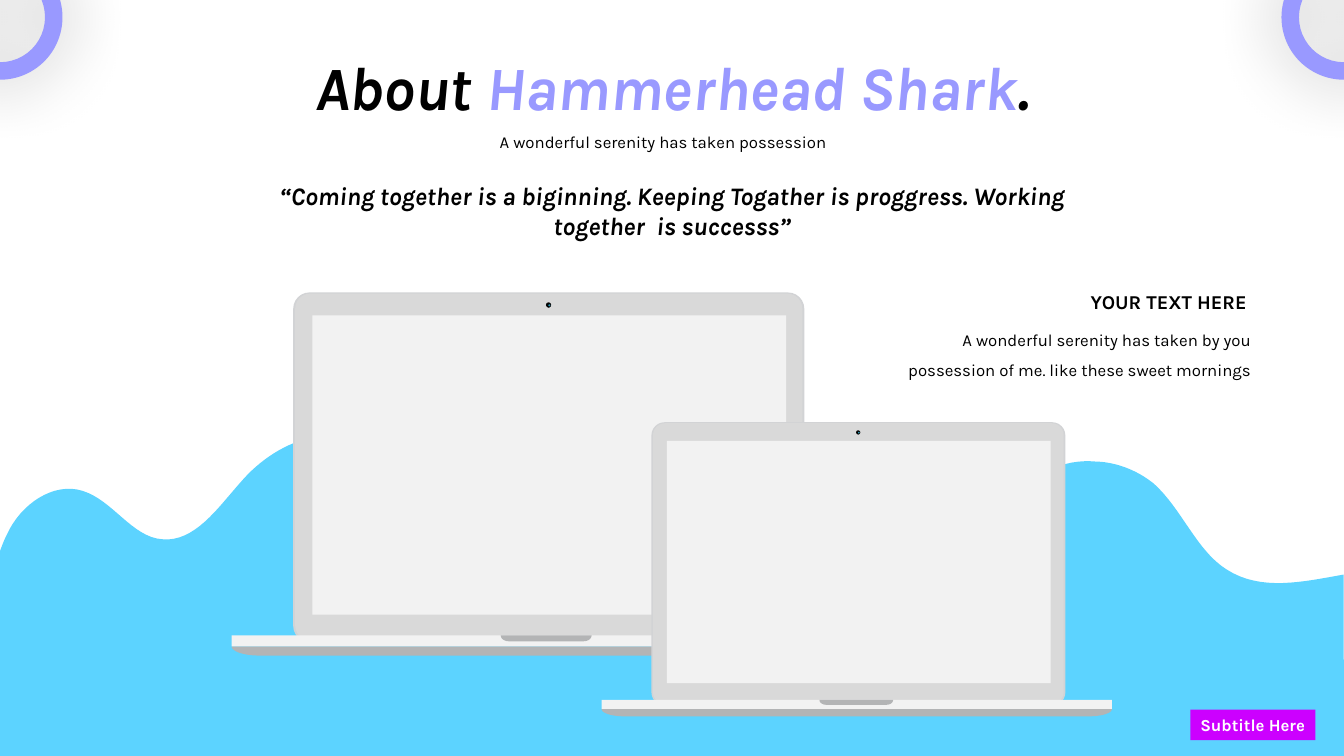
"""Builds the Hammerhead Shark slide: two laptops over a wave, with text."""
from math import cos, pi, sin

from lxml import etree
from pptx import Presentation
from pptx.dml.color import RGBColor
from pptx.enum.shapes import MSO_SHAPE
from pptx.enum.text import MSO_ANCHOR, PP_ALIGN
from pptx.oxml.ns import qn
from pptx.util import Cm, Pt

RECTANGLE, ROUNDED = MSO_SHAPE.RECTANGLE, MSO_SHAPE.ROUNDED_RECTANGLE
OVAL, DONUT = MSO_SHAPE.OVAL, MSO_SHAPE.DONUT
LEFT, CENTER, RIGHT = PP_ALIGN.LEFT, PP_ALIGN.CENTER, PP_ALIGN.RIGHT
TOP = MSO_ANCHOR.TOP

BLACK = RGBColor(0x00, 0x00, 0x00)
WHITE = RGBColor(0xFF, 0xFF, 0xFF)
LILAC = RGBColor(0x99, 0x99, 0xFF)
MAGENTA = RGBColor(0xCC, 0x00, 0xFF)
SKY = RGBColor(0x5C, 0xD3, 0xFF)
PALE = RGBColor(0xF2, 0xF2, 0xF2)
SILVER = RGBColor(0xD9, 0xD9, 0xD9)
EDGE = RGBColor(0xD2, 0xD3, 0xD5)
SHADE = RGBColor(0xB3, 0xB4, 0xB5)
CAMERA = RGBColor(0x0A, 0x0A, 0x0A)
LENS = RGBColor(0x2C, 0x99, 0xB4)

FONT = "Karla"
WIDTH, HEIGHT = 33.87, 19.05

WAVE_START = (0, 13.89)
WAVE_CURVES = [
    ((0.08, 13.67), (0.13, 13.56), (0.18, 13.46)),
    ((0.53, 12.7), (1.35, 12.14), (2.08, 12.37)),
    ((2.84, 12.6), (3.33, 13.54), (4.09, 13.59)),
    ((4.9, 13.67), (5.49, 12.8), (6.05, 12.17)),
    ((6.55, 11.58), (7.21, 11.15), (7.95, 11)),
    ((8.13, 10.97), (8.33, 10.95), (8.51, 10.97)),
    ((9.04, 10.97), (9.6, 11.18), (10.03, 11.53)),
    ((10.74, 12.17), (11.1, 13.21), (11.86, 13.69)),
    ((12.73, 14.25), (13.79, 14), (14.81, 13.82)),
]
WAVE_SHIFTS = [(0, 0), (19.05, 0.66)]

LAPTOPS = [(5.84, 7.37, 1), (15.16, 10.64, 0.81)]
TRAY = "tray"
LAPTOP_PARTS = [
    (TRAY, 0, 8.92, 15.88, 0.23, 0.69, SHADE),
    (ROUNDED, 1.55, 0, 12.88, 8.81, 0.41, EDGE),
    (ROUNDED, 1.6, 0.03, 12.78, 8.74, 0.38, SILVER),
    (RECTANGLE, 0, 8.64, 15.88, 0.28, 0, PALE),
    (TRAY, 6.78, 8.64, 2.29, 0.15, 0.2, SHADE),
    (RECTANGLE, 2.03, 0.58, 11.94, 7.54, 0, PALE),
    (OVAL, 7.92, 0.25, 0.13, 0.13, 0, CAMERA),
    (OVAL, 7.95, 0.28, 0.08, 0.1, 0, BLACK),
    (OVAL, 7.98, 0.3, 0.05, 0.05, 0, LENS),
]

RING_SIZE, RING_TOP, RING_THICKNESS = 3.15, -1.14, 0.14
RING_CENTERS = [0, WIDTH]

TEXTS = [
    ((6.02, 1.12, 21.84, 2.13), CENTER, 44, True, True, 1,
     [("About ", BLACK), ("Hammerhead Shark", LILAC), (".", BLACK)]),
    ((11.1, 2.95, 11.23, 0.94), CENTER, 12, False, False, 1.5,
     [("A wonderful serenity has taken possession", BLACK)]),
    ((24.38, 7.19, 7.29, 0.86), RIGHT, 14, True, False, 1,
     [("YOUR TEXT HERE", BLACK)]),
    ((22.53, 7.92, 9.25, 1.7), RIGHT, 12, False, False, 1.5,
     [("A wonderful serenity has taken by you possession of me. "
       "like these sweet mornings", BLACK)]),
    ((6.02, 4.42, 21.84, 1.8), CENTER, 18, True, True, 1,
     [("“Coming together is a biginning. Keeping Togather is proggress. "
       "Working together  is successs”", BLACK)]),
]
BUTTON_BOX = (30, 17.88, 3.15, 0.77)
BUTTON_RUNS = [("Subtitle Here", WHITE)]


def paint(shape, color):
    shape.shadow.inherit = False
    shape.fill.solid()
    shape.fill.fore_color.rgb = color
    shape.line.fill.background()


def add_preset(shapes, kind, box, color):
    shape = shapes.add_shape(kind, *[Cm(length) for length in box])
    paint(shape, color)
    return shape


def add_outline(shapes, points, color):
    corners = [(Cm(x), Cm(y)) for x, y in points]
    builder = shapes.build_freeform(*corners[0], scale=1.0)
    builder.add_line_segments(corners[1:], close=True)
    paint(builder.convert_to_shape(), color)


def curve_points(start, first, second, end, steps=16):
    weights = [((1 - t) ** 3, 3 * t * (1 - t) ** 2, 3 * t * t * (1 - t), t ** 3)
               for t in (step / steps for step in range(1, steps + 1))]
    return [tuple(sum(w * point[axis] for w, point in
                      zip(row, (start, first, second, end))) for axis in (0, 1))
            for row in weights]


def wave_points():
    crest = [WAVE_START]
    for curve in WAVE_CURVES:
        crest += curve_points(crest[-1], *curve)
    surface = [(x + dx, y + dy) for dx, dy in WAVE_SHIFTS for x, y in crest]
    return surface + [(WIDTH, HEIGHT), (0, HEIGHT)]


def tray_points(left, top, width, height, corner, steps=12):
    angles = [pi / 2 * step / steps for step in range(steps + 1)]
    arc = [(corner * (1 - cos(a)), height * sin(a)) for a in angles]
    return ([(left + x, top + y) for x, y in arc]
            + [(left + width - x, top + y) for x, y in reversed(arc)])


def add_laptop(slide, left, top, scale):
    shapes = slide.shapes.add_group_shape().shapes
    for kind, x, y, *sizes, color in LAPTOP_PARTS:
        width, height, corner = [size * scale for size in sizes]
        box = (left + x * scale, top + y * scale, width, height)
        if kind == TRAY:
            add_outline(shapes, tray_points(*box, corner), color)
            continue
        shape = add_preset(shapes, kind, box, color)
        if kind == ROUNDED:
            shape.adjustments[0] = corner / min(width, height)


def add_ring(slide, center):
    box = (center - RING_SIZE / 2, RING_TOP, RING_SIZE, RING_SIZE)
    ring = add_preset(slide.shapes, DONUT, box, LILAC)
    ring.adjustments[0] = RING_THICKNESS
    effects = ring._element.spPr.find(qn("a:effectLst"))
    shadow = etree.SubElement(effects, qn("a:outerShdw"), blurRad=str(Pt(49)),
                              dist="0", dir="0", algn="ctr", rotWithShape="0")
    color = etree.SubElement(shadow, qn("a:srgbClr"), val=str(BLACK))
    etree.SubElement(color, qn("a:alpha"), val="33000")


def write(shape, align, size, bold, italic, spacing, runs, wrap=True):
    frame = shape.text_frame
    frame.word_wrap = wrap
    frame.vertical_anchor = TOP
    paragraph = frame.paragraphs[0]
    paragraph.alignment = align
    paragraph.line_spacing = spacing
    font = paragraph.font
    font.name, font.size, font.bold, font.italic = FONT, Pt(size), bold, italic
    for text, color in runs:
        run = paragraph.add_run()
        run.text = text
        run.font.color.rgb = color


def main():
    presentation = Presentation()
    presentation.slide_width, presentation.slide_height = Cm(WIDTH), Cm(HEIGHT)
    slide = presentation.slides.add_slide(presentation.slide_layouts[6])
    add_outline(slide.shapes, wave_points(), SKY)
    for laptop in LAPTOPS:
        add_laptop(slide, *laptop)
    for center in RING_CENTERS:
        add_ring(slide, center)
    button = add_preset(slide.shapes, RECTANGLE, BUTTON_BOX, MAGENTA)
    write(button, LEFT, 12, True, False, 1, BUTTON_RUNS, wrap=False)
    for box, *style in TEXTS:
        write(slide.shapes.add_textbox(*[Cm(length) for length in box]), *style)
    presentation.save("out.pptx")


if __name__ == "__main__":
    main()
